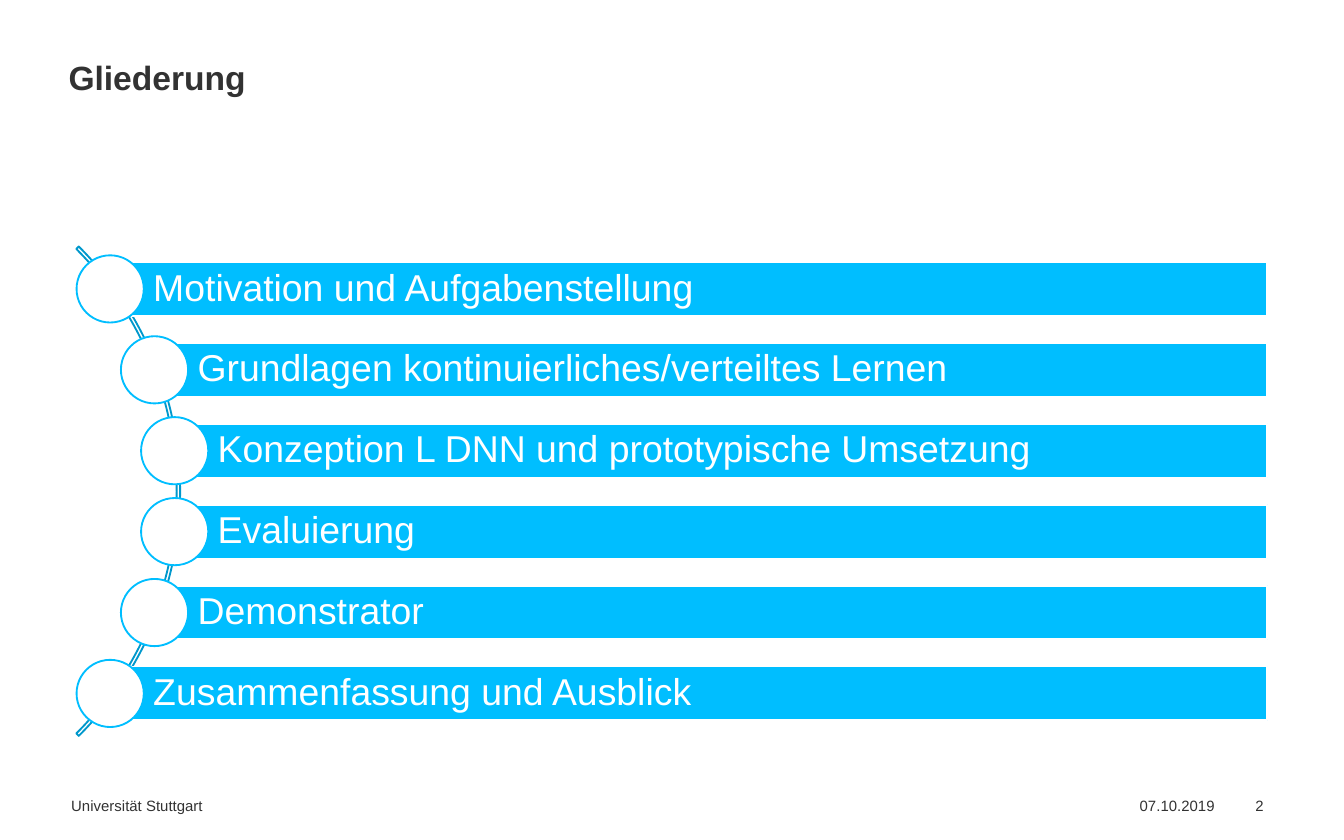
from pptx import Presentation
from pptx.dml.color import RGBColor as RGB
from pptx.enum.shapes import MSO_SHAPE as SHAPE
from pptx.enum.text import MSO_ANCHOR as ANCHOR, PP_ALIGN as ALIGN
from pptx.util import Inches, Pt

TITLE = "Gliederung"
TOPICS = [
    ("Motivation und Aufgabenstellung", 0.82),
    ("Grundlagen kontinuierliches/verteiltes Lernen", 1.15),
    ("Konzeption L DNN und prototypische Umsetzung", 1.3),
    ("Evaluierung", 1.3),
    ("Demonstrator", 1.15),
    ("Zusammenfassung und Ausblick", 0.82),
]
FOOTER = [
    ("07.10.2019", 8.48, 0.58),
    ("Universität Stuttgart", 0.53, 6.61),
    ("2", 9.34, 0.24),
]
COLORS = {"bar": "00BEFF", "arc": "0098CC", "white": "FFFFFF", "text": "323232"}
FONT = "Arial"
FIRST, LAST = 2.15, 5.16
RIGHT = 9.43
BAR, DOT, ARC = 0.4, 0.5, 5.15
ARC_LEFT, ARC_TOP = -3.81, 1.08


def color(name):
    return RGB.from_string(COLORS[name])


def write(frame, text, size, tone, anchor, pads=(0, 0, 0, 0), bold=False, lead=None):
    frame.word_wrap = True
    frame.vertical_anchor = anchor
    frame.margin_left, frame.margin_top, frame.margin_right, frame.margin_bottom = map(
        Inches, pads
    )
    para = frame.paragraphs[0]
    para.alignment = ALIGN.LEFT
    if lead:
        para.line_spacing = lead
    run = para.add_run()
    run.text = text
    font = run.font
    font.name, font.size, font.bold = FONT, Pt(size), bold
    font.color.rgb = color(tone)


def draw(slide, kind, box, fill, line):
    shape = slide.shapes.add_shape(kind, *map(Inches, box))
    shape.shadow.inherit = False
    if fill:
        shape.fill.solid()
        shape.fill.fore_color.rgb = color(fill)
    else:
        shape.fill.background()
    shape.line.color.rgb = color(line)
    shape.line.width = Pt(1)
    return shape


def main():
    deck = Presentation()
    deck.slide_width, deck.slide_height = Inches(10), Inches(6.25)
    slide = deck.slides.add_slide(deck.slide_layouts[5])

    title = slide.shapes.title
    title.left, title.top, title.width, title.height = map(
        Inches, (0.51, 0.43, 8.98, 0.3)
    )
    write(title.text_frame, TITLE, 18, "text", ANCHOR.BOTTOM, bold=True, lead=0.9)

    arc = draw(slide, SHAPE.BLOCK_ARC, (ARC_LEFT, ARC_TOP, ARC, ARC), None, "arc")
    for place, value in enumerate((189, 27, 0.005)):
        arc.adjustments[place] = value

    step = (LAST - FIRST) / (len(TOPICS) - 1)
    for row, (text, left) in enumerate(TOPICS):
        mid = FIRST + row * step
        box = (left, mid - BAR / 2, RIGHT - left, BAR)
        bar = draw(slide, SHAPE.RECTANGLE, box, "bar", "white")
        pads = (0.32, 0.06, 0.06, 0.06)
        write(bar.text_frame, text, 20, "white", ANCHOR.MIDDLE, pads, lead=0.9)
        box = (left - DOT / 2, mid - DOT / 2, DOT, DOT)
        draw(slide, SHAPE.OVAL, box, "white", "bar")

    for text, left, width in FOOTER:
        note = slide.shapes.add_textbox(*map(Inches, (left, 5.93, width, 0.14)))
        write(note.text_frame, text, 8, "text", ANCHOR.TOP)

    deck.save("out.pptx")


if __name__ == "__main__":
    main()
